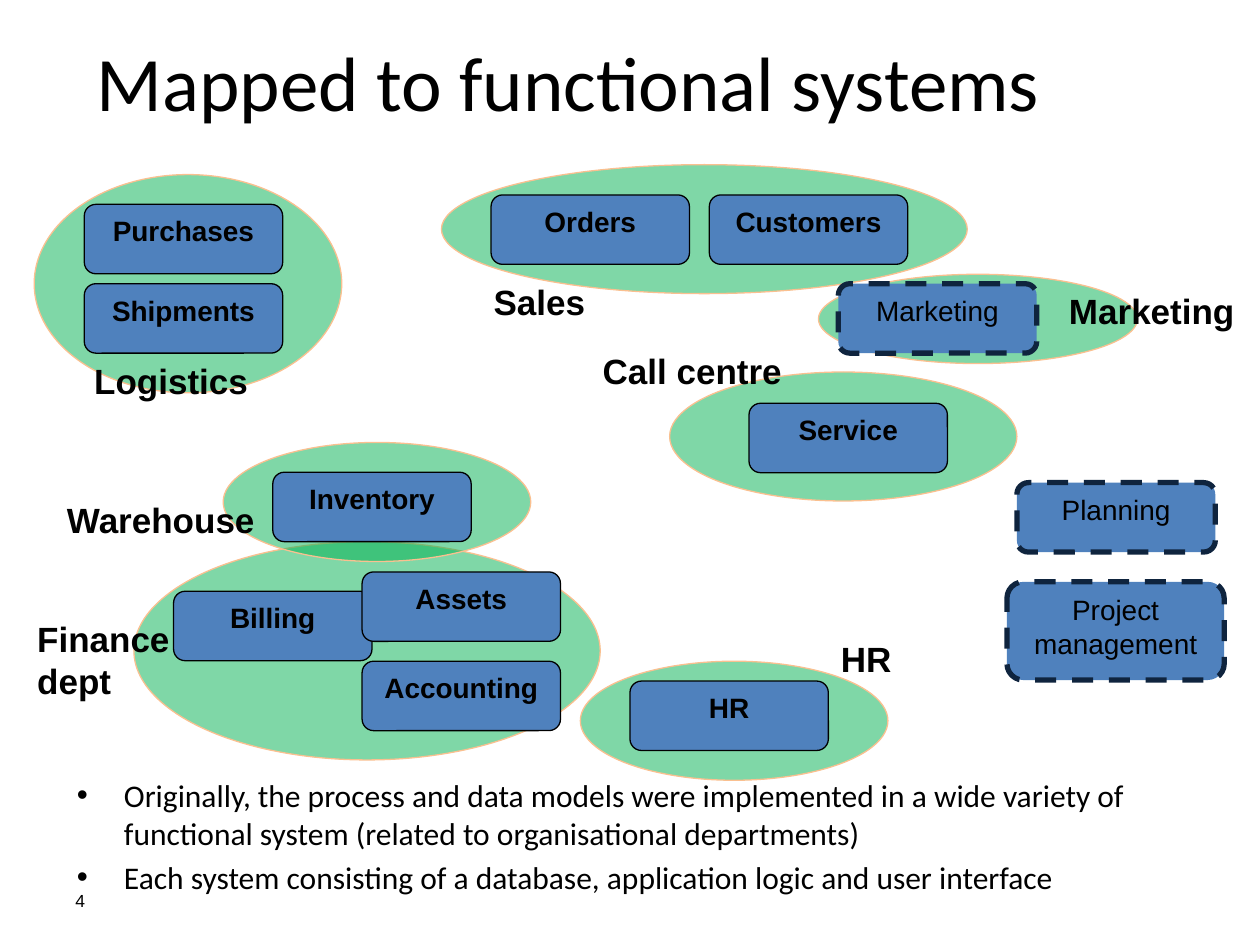
from lxml import etree
from pptx import Presentation
from pptx.dml.color import RGBColor
from pptx.enum.dml import MSO_LINE
from pptx.enum.shapes import MSO_SHAPE
from pptx.enum.text import MSO_ANCHOR, MSO_AUTO_SIZE, PP_ALIGN
from pptx.oxml.ns import qn
from pptx.util import Cm, Pt

OVAL, ROUND = MSO_SHAPE.OVAL, MSO_SHAPE.ROUNDED_RECTANGLE
DASH = MSO_LINE.DASH
TOP, MIDDLE = MSO_ANCHOR.TOP, MSO_ANCHOR.MIDDLE
CENTER = PP_ALIGN.CENTER
GROW = MSO_AUTO_SIZE.SHAPE_TO_FIT_TEXT

COLORS = {
    "text": "000000",
    "area": "00B050",
    "rim": "FAC090",
    "box": "4F81BD",
    "edge": "000000",
    "dash": "0F243E",
}
BOX_W, BOX_H = 4, 1.4

# All places and sizes are in centimetres: left, top, width, height
AREAS = [
    (13.5, 7.5, 7, 2.6),
    (11.7, 13.33, 6.2, 2.4),
    (16.5, 5.53, 6.43, 1.8),
    (8.9, 3.32, 10.6, 2.6),
    (0.69, 3.52, 6.2, 4.4),
    (2.7, 10.92, 9.4, 4.4),
    (4.5, 8.92, 6.2, 2.4),
]
SYSTEMS = [
    ("Purchases", 1.7, 4.12),
    ("Shipments", 1.7, 5.72),
    ("Inventory", 5.5, 9.52),
    ("Orders", 9.9, 3.93),
    ("Customers", 14.3, 3.93),
    ("Service", 15.1, 8.13),
    ("Billing", 3.5, 11.92),
    ("Accounting", 7.3, 13.33),
    ("HR", 12.7, 13.73),
    ("Assets", 7.3, 11.53),
]
PLANNED = [
    ("Marketing", 16.9, 5.72, BOX_W, BOX_H),
    ("Planning", 20.5, 9.73, BOX_W, BOX_H),
    ("Project management", 20.3, 11.73, 4.38, 1.98),
]
LABELS = [
    ("Finance\ndept", 0.5, 12.32, 3.4, 1.96),
    ("Warehouse", 1.1, 9.93, 4.3, 1.1),
    ("Logistics", 1.65, 7.13, 3.63, 1.1),
    ("Sales", 9.7, 5.53, 2.36, 1.1),
    ("Marketing", 21.3, 5.72, 3.9, 1.1),
    ("HR", 16.7, 12.72, 1.55, 1.1),
    ("Call centre", 11.9, 6.93, 4.15, 1.1),
]
POINTS = [
    "Originally, the process and data models were implemented in a wide "
    "variety of functional system (related to organisational departments)",
    "Each system consisting of a database, application logic and user "
    "interface",
]


def color(name):
    return RGBColor.from_string(COLORS[name])


def style(frame, size, face="Arial", bold=False, align=None):
    for para in frame.paragraphs:
        para.alignment = align
        font = para.font
        font.name, font.size, font.bold = face, Pt(size), bold
        font.color.rgb = color("text")


def add_form(slide, kind, place, fill, line, width=0.75):
    form = slide.shapes.add_shape(kind, *map(Cm, place))
    form.shadow.inherit = False
    form.fill.solid()
    form.fill.fore_color.rgb = color(fill)
    form.line.color.rgb = color(line)
    form.line.width = Pt(width)
    return form


def add_area(slide, place):
    area = add_form(slide, OVAL, place, "area", "rim")
    tint = area.fill._xPr.find(qn("a:solidFill"))[0]
    etree.SubElement(tint, qn("a:alpha"), val="50000")


def add_box(slide, text, place, planned=False):
    line, width = ("dash", 3) if planned else ("edge", 0.75)
    box = add_form(slide, ROUND, place, "box", line, width)
    if planned:
        box.line.dash_style = DASH
    frame = box.text_frame
    frame.vertical_anchor = TOP
    frame.text = text
    style(frame, 16, bold=not planned, align=CENTER)


def add_text(slide, text, place, wrap=True):
    frame = slide.shapes.add_textbox(*map(Cm, place)).text_frame
    frame.word_wrap = wrap
    frame.text = text
    return frame


def add_label(slide, text, place):
    frame = add_text(slide, text, place, wrap=False)
    frame.auto_size = GROW
    style(frame, 20, bold=True)


def add_points(slide):
    frame = add_text(slide, "\n".join(POINTS), (1.3, 15.52, 22.86, 3.4))
    style(frame, 18, "Calibri")
    for para in frame.paragraphs:
        para.space_before = Pt(3.6)
        props = para._p.get_or_add_pPr()
        props.set("marL", str(Cm(0.95)))
        props.set("indent", str(-Cm(0.95)))
        face = etree.Element(qn("a:buFont"), typeface="Arial")
        mark = etree.Element(qn("a:buChar"), char="•")
        spot = props.index(props.find(qn("a:spcBef"))) + 1
        props[spot:spot] = [face, mark]


def set_title(slide, text):
    title = slide.shapes.title
    title.left, title.top = Cm(0.69), Cm(0.53)
    title.width, title.height = Cm(21.54), Cm(2.2)
    frame = title.text_frame
    frame.text = text
    frame.vertical_anchor = MIDDLE
    style(frame, 44, "Calibri", align=CENTER)


def main():
    deck = Presentation()
    deck.slide_width, deck.slide_height = Cm(25.4), Cm(19.05)
    slide = deck.slides.add_slide(deck.slide_layouts[5])
    set_title(slide, "Mapped to functional systems")

    # Departments
    for place in AREAS:
        add_area(slide, place)

    # Bullets and page number
    add_points(slide)
    page = add_text(slide, "4", (1.27, 17.65, 5.92, 1.02))
    page.vertical_anchor = MIDDLE
    style(page, 10)

    # Systems, in use and planned
    for text, left, top in SYSTEMS:
        add_box(slide, text, (left, top, BOX_W, BOX_H))
    for text, *place in PLANNED:
        add_box(slide, text, place, planned=True)

    # Department names
    for text, *place in LABELS:
        add_label(slide, text, place)

    deck.save("out.pptx")


if __name__ == "__main__":
    main()
